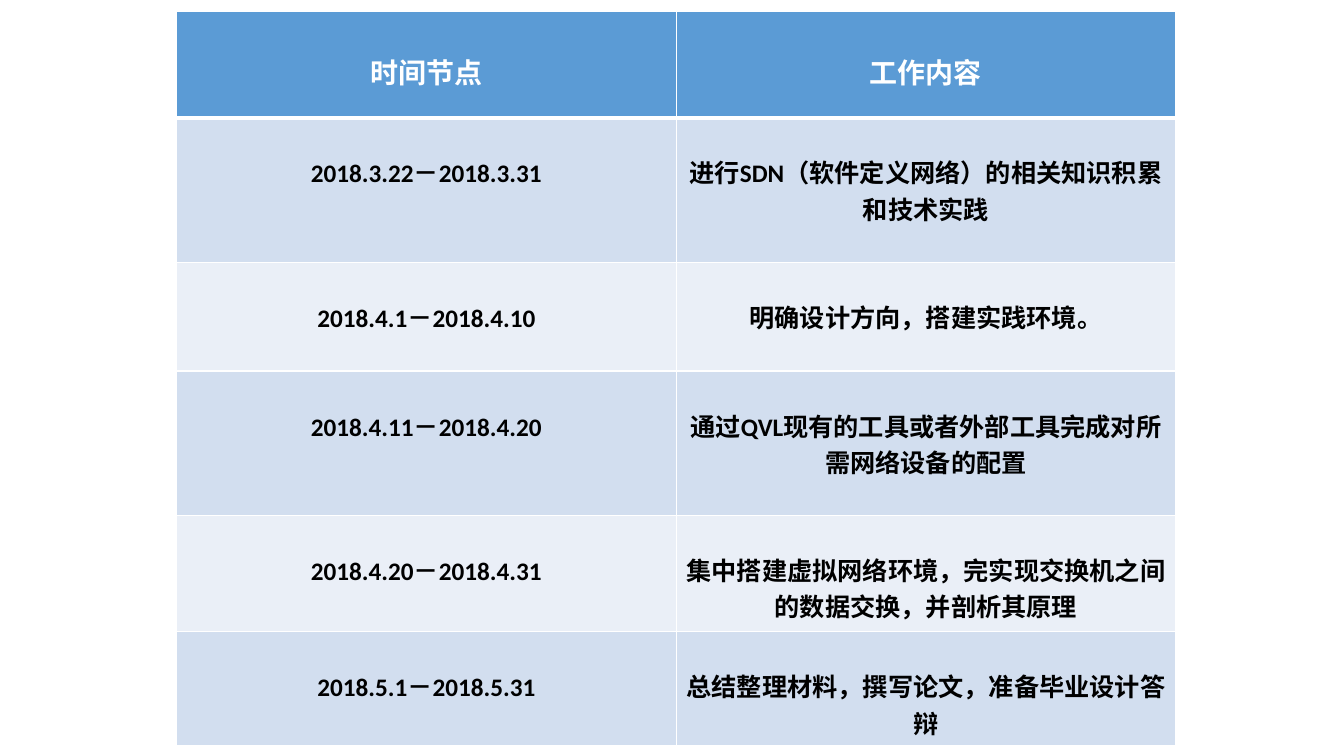
from lxml.etree import SubElement
from pptx import Presentation
from pptx.dml.color import RGBColor
from pptx.enum.text import PP_ALIGN
from pptx.oxml.ns import qn
from pptx.util import Cm, Pt

COLORS = {
    "header": "5B9BD5",
    "odd": "D2DEEF",
    "even": "EAEFF7",
    "border": "FFFFFF",
    "header_text": "FFFFFF",
    "text": "000000",
}
FONT = "Calibri"
SCHEDULE = [
    ("时间节点", "工作内容"),
    ("2018.3.22－2018.3.31", "进行SDN（软件定义网络）的相关知识积累和技术实践"),
    ("2018.4.1－2018.4.10", "明确设计方向，搭建实践环境。"),
    ("2018.4.11－2018.4.20", "通过QVL现有的工具或者外部工具完成对所需网络设备的配置"),
    ("2018.4.20－2018.4.31", "集中搭建虚拟网络环境，完实现交换机之间的数据交换，并剖析其原理"),
    ("2018.5.1－2018.5.31", "总结整理材料，撰写论文，准备毕业设计答辩"),
]
ROW_HEIGHTS = [2.68, 3.65, 2.73, 3.64, 2.93, 2.87]


def set_borders(cell, bottom):
    """Draw white borders, with the bottom one of the given width."""
    tc_pr = cell._tc.get_or_add_tcPr()
    for side, width in (("L", 1), ("R", 1), ("T", 1), ("B", bottom)):
        ln = SubElement(tc_pr, qn(f"a:ln{side}"), w=str(Pt(width)))
        fill = SubElement(ln, qn("a:solidFill"))
        SubElement(fill, qn("a:srgbClr"), val=COLORS["border"])


def fill_cell(cell, text, is_header, fill):
    """Style one cell and write its centred bold text."""
    set_borders(cell, 3 if is_header else 1)
    cell.fill.solid()
    cell.fill.fore_color.rgb = RGBColor.from_string(COLORS[fill])
    cell.margin_top = Cm(1 if is_header else 0.9)
    p = cell.text_frame.paragraphs[0]
    p.alignment = PP_ALIGN.CENTER
    r = p.add_run()
    r.text = text
    r.font.name = FONT
    r.font.size = Pt(20 if is_header else 18)
    r.font.bold = True
    color = COLORS["header_text" if is_header else "text"]
    r.font.color.rgb = RGBColor.from_string(color)


def add_schedule(s, left, top, width):
    """Add the schedule table with equal columns at the given place."""
    columns = len(SCHEDULE[0])
    table = s.shapes.add_table(
        len(SCHEDULE), columns,
        Cm(left), Cm(top), Cm(width), Cm(sum(ROW_HEIGHTS)),
    ).table
    for column in table.columns:
        column.width = Cm(width / columns)
    for i, (texts, height) in enumerate(zip(SCHEDULE, ROW_HEIGHTS)):
        table.rows[i].height = Cm(height)
        fill = "header" if i == 0 else "odd" if i % 2 else "even"
        for j, text in enumerate(texts):
            fill_cell(table.cell(i, j), text, i == 0, fill)


prs = Presentation()
prs.slide_width = Cm(33.87)
prs.slide_height = Cm(19.05)
s = prs.slides.add_slide(prs.slide_layouts[6])
add_schedule(s, 4.45, 0.29, 25.18)
prs.save("out.pptx")
